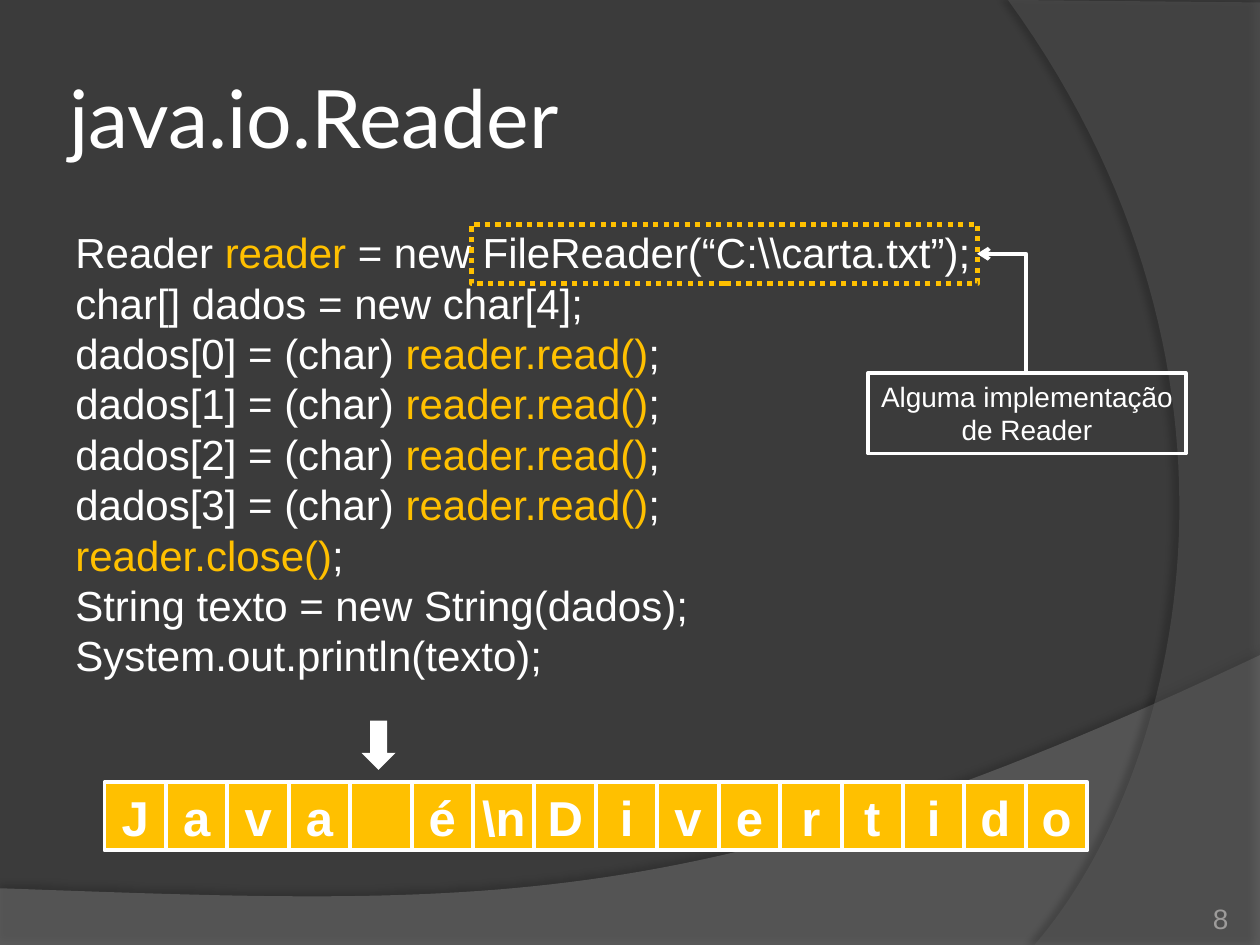
from lxml import etree
from pptx import Presentation
from pptx.dml.color import RGBColor
from pptx.enum.dml import MSO_LINE
from pptx.enum.shapes import MSO_CONNECTOR, MSO_SHAPE
from pptx.enum.text import MSO_ANCHOR, MSO_AUTO_SIZE, PP_ALIGN
from pptx.oxml.ns import qn
from pptx.util import Inches, Pt

RECTANGLE, DOWN_ARROW = MSO_SHAPE.RECTANGLE, MSO_SHAPE.DOWN_ARROW
ELBOW, DOTTED = MSO_CONNECTOR.ELBOW, MSO_LINE.ROUND_DOT
TOP, MIDDLE, BOTTOM = MSO_ANCHOR.TOP, MSO_ANCHOR.MIDDLE, MSO_ANCHOR.BOTTOM
LEFT, CENTER, RIGHT = PP_ALIGN.LEFT, PP_ALIGN.CENTER, PP_ALIGN.RIGHT
TITLE_ONLY = 5

THEME = {
    "background": "3B3B3B", "text": "FFFFFF", "accent": "FFC000",
    "muted": "9D9B9A", "wave": "7F7F7F", "arc": "5E5E5E", "shadow": "000000",
    "heading_font": "Lato", "body_font": "Arial",
    "title": 46, "cell": 28, "code": 24, "note": 16,
    "outline": 2.25, "dotted": 3,
}
WIDTH, HEIGHT = Inches(10), Inches(7.5)
COLUMN, ROW = WIDTH / 10, HEIGHT / 7.5


def write(frame, text, size, font=THEME["body_font"], color="text", align=LEFT,
          anchor=TOP, insets=(0.1, 0.05), bold=False, spacing=None):
    """Fill a frame line by line; the parts between bars take the accent colour."""
    frame.word_wrap = True
    frame.auto_size = MSO_AUTO_SIZE.NONE
    frame.vertical_anchor = anchor
    frame.margin_left = frame.margin_right = Inches(insets[0])
    frame.margin_top = frame.margin_bottom = Inches(insets[1])
    for number, line in enumerate(text.split("\n")):
        paragraph = frame.paragraphs[0] if number == 0 else frame.add_paragraph()
        paragraph.alignment = align
        paragraph.space_before = Pt(0)
        if spacing:
            paragraph.line_spacing = Pt(spacing)
        for index, part in enumerate(line.split("|")):
            if part:
                run = paragraph.add_run()
                run.text = part
                run.font.name = font
                run.font.size = Pt(THEME[size])
                run.font.bold = bold
                run.font.color.rgb = RGBColor.from_string(
                    THEME["accent" if index % 2 else color])


def add_box(kind, left, top, width, height, fill=None, line=None, weight="outline"):
    shape = slide.shapes.add_shape(kind, int(left * COLUMN), int(top * ROW),
                                   int(width * COLUMN), int(height * ROW))
    shape.shadow.inherit = False
    if fill:
        shape.fill.solid()
        shape.fill.fore_color.rgb = RGBColor.from_string(THEME[fill])
    else:
        shape.fill.background()
    if line:
        shape.line.color.rgb = RGBColor.from_string(THEME[line])
        shape.line.width = Pt(THEME[weight])
    else:
        shape.line.fill.background()
    return shape


deck = Presentation()
deck.slide_width, deck.slide_height = WIDTH, HEIGHT
slide = deck.slides.add_slide(deck.slide_layouts[TITLE_ONLY])
slide.background.fill.solid()
slide.background.fill.fore_color.rgb = RGBColor.from_string(THEME["background"])

# Background bands: straight corners, then one cubic curve back to the start.
# name, corners, curve, opacity, shadow opacity, shadow distance, shadow angle
BANDS = [
    ("wave", [(0, 7.05), (0, 7.5), (10, 7.5)],
     [(10, 5.2), (5.59, 7.29), (3.91, 7.19), (0, 7.05)], 45, 35, 3.5, 270),
    ("arc", [(10, 0.02), (10, 7.5)],
     [(8.21, 7.5), (9.35, 6.19), (10.18, 3), (8, 0)], 40, 45, 4, 180),
]
STEPS = 60
for name, corners, curve, opacity, shade, distance, angle in BANDS:
    outline = list(corners)
    for step in range(STEPS + 1):
        t = step / STEPS
        weights = ((1 - t) ** 3, 3 * t * (1 - t) ** 2, 3 * t * t * (1 - t), t ** 3)
        outline.append(tuple(sum(w * point[axis] for w, point in zip(weights, curve))
                             for axis in (0, 1)))
    points = [(int(x * COLUMN), int(y * ROW)) for x, y in outline]
    builder = slide.shapes.build_freeform(*points[0], scale=1.0)
    builder.add_line_segments(points[1:], close=True)
    band = builder.convert_to_shape()
    band.shadow.inherit = False
    band.line.fill.background()
    band.fill.solid()
    band.fill.fore_color.rgb = RGBColor.from_string(THEME[name])
    properties = band._element.spPr
    fill_color = properties.find(qn("a:solidFill"))[0]
    etree.SubElement(fill_color, qn("a:alpha"), val=str(opacity * 1000))
    shadow = etree.SubElement(
        properties.find(qn("a:effectLst")), qn("a:outerShdw"), blurRad=str(Pt(4)),
        dist=str(Pt(distance)), dir=str(angle * 60000), rotWithShape="0")
    shadow_color = etree.SubElement(shadow, qn("a:srgbClr"), val=THEME["shadow"])
    etree.SubElement(shadow_color, qn("a:alpha"), val=str(shade * 1000))

title = slide.shapes.title
title.left, title.top = int(0.5 * COLUMN), int(0.3 * ROW)
title.width, title.height = int(8.17 * COLUMN), int(1.25 * ROW)
write(title.text_frame, "java.io.Reader", "title", font=THEME["heading_font"],
      anchor=MIDDLE, insets=(0.05, 0.05))

reads = [f"dados[{index}] = (char) |reader.read()|;" for index in range(4)]
code_lines = [
    "Reader |reader| = new FileReader(“C:\\\\carta.txt”);",
    "char[] dados = new char[4];",
    *reads,
    "|reader.close()|;",
    "String texto = new String(dados);",
    "System.out.println(texto);",
]
code = slide.shapes.add_textbox(int(0.5 * COLUMN), int(1.75 * ROW),
                                int(9 * COLUMN), int(4.95 * ROW))
write(code.text_frame, "\n".join(code_lines), "code", spacing=28.8)

page_number = slide.shapes.add_textbox(int(8.92 * COLUMN), int(7.02 * ROW),
                                       int(0.83 * COLUMN), int(0.4 * ROW))
write(page_number.text_frame, "8", "note", color="muted", align=RIGHT,
      anchor=BOTTOM, insets=(0, 0))

# Callout on the concrete reader
highlight = add_box(RECTANGLE, 3.74, 1.78, 4.02, 0.47, line="accent", weight="dotted")
highlight.line.dash_style = DOTTED
callout = add_box(RECTANGLE, 6.89, 2.96, 2.52, 0.64, line="text")
write(callout.text_frame, "Alguma implementação de Reader", "note", align=CENTER)

# The single bend is stored unrotated, then turned to rise from the callout.
pointer = slide.shapes.add_connector(ELBOW, int(7.48 * COLUMN), int(2.68 * ROW),
                                     int(8.42 * COLUMN), int(2.29 * ROW))
pointer.line.color.rgb = RGBColor.from_string(THEME["text"])
pointer.line.width = Pt(THEME["outline"])
pointer_properties = pointer._element.spPr
pointer_properties.find(qn("a:xfrm")).set("rot", str(270 * 60000))
pointer_properties.find(qn("a:prstGeom")).set("prst", "bentConnector2")
etree.SubElement(pointer_properties.find(qn("a:ln")), qn("a:tailEnd"), type="arrow")
etree.SubElement(pointer_properties, qn("a:effectLst"))

# Character stream with the read position
STREAM = [*"Java é", "\\n", *"Divertido"]
STREAM_LEFT, STREAM_TOP = 0.83, 6.21
CELL_WIDTH, CELL_HEIGHT = 7.8 / len(STREAM), 0.54
for position, character in enumerate(STREAM):
    cell = add_box(RECTANGLE, STREAM_LEFT + position * CELL_WIDTH, STREAM_TOP,
                   CELL_WIDTH, CELL_HEIGHT, fill="accent", line="text")
    write(cell.text_frame, character.strip(), "cell", align=CENTER, anchor=MIDDLE,
          insets=(0, 0.05), bold=True)
add_box(DOWN_ARROW, 2.87, 5.72, 0.27, 0.39, fill="text")

deck.save("out.pptx")
